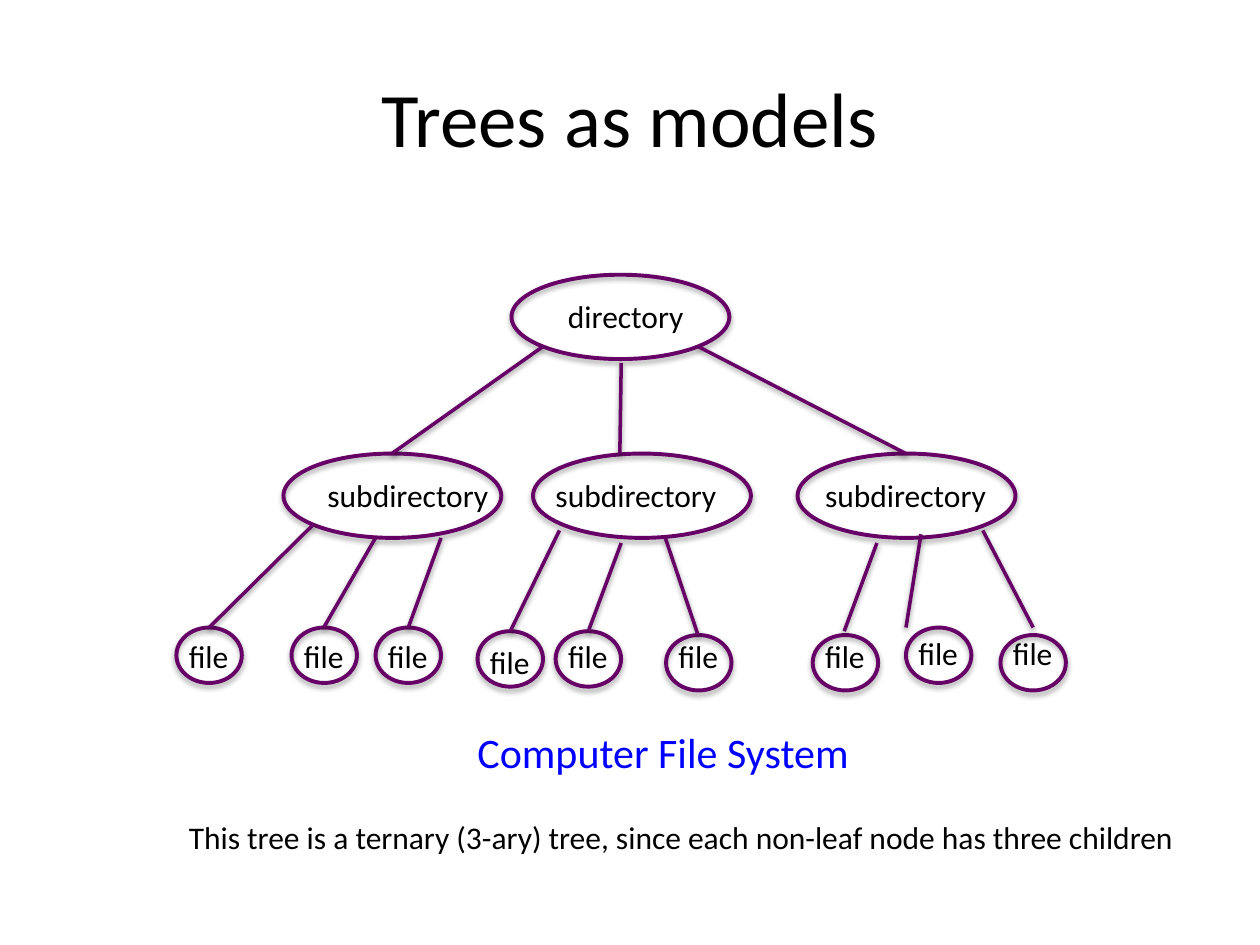
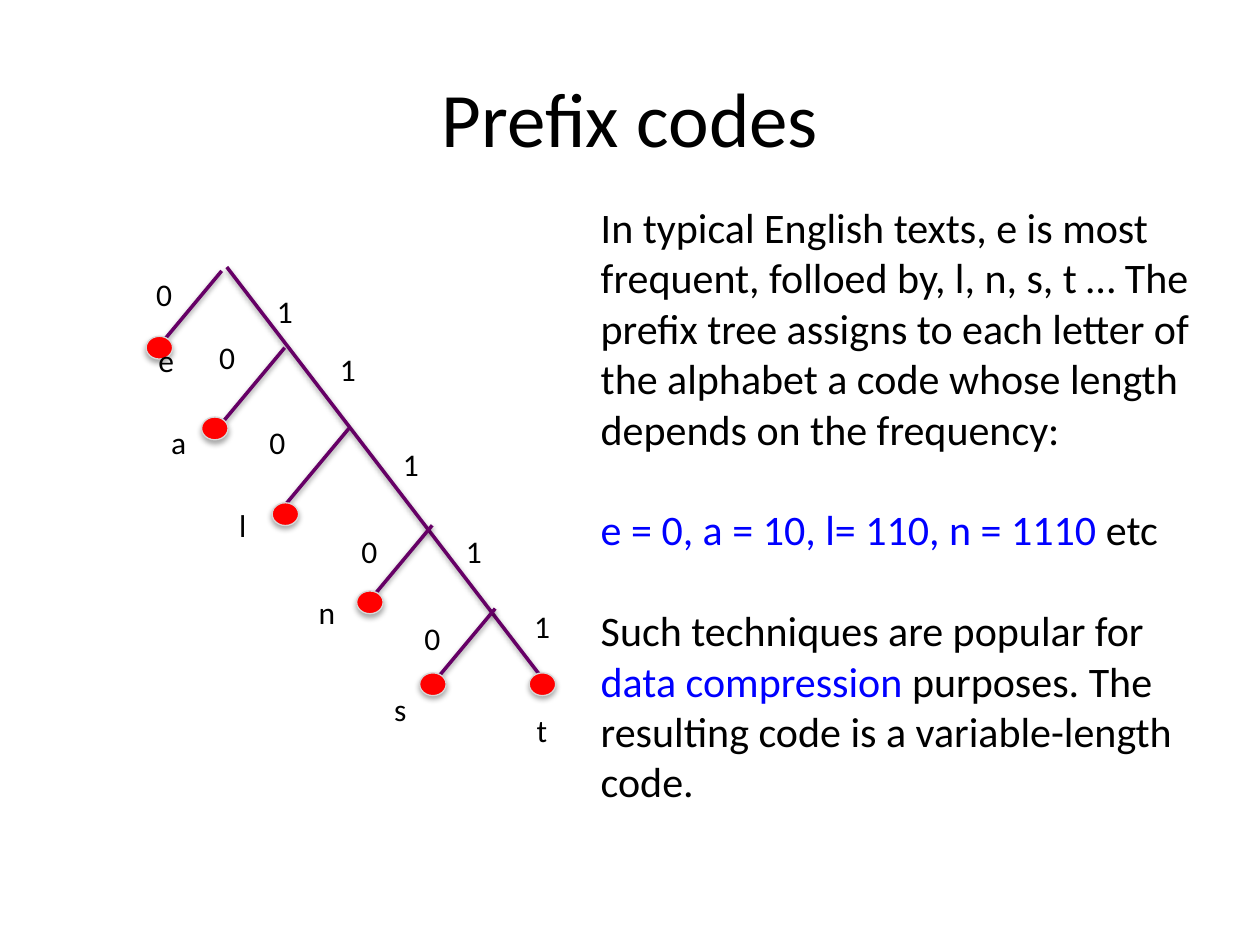
from pptx import Presentation
from pptx.dml.color import RGBColor
from pptx.enum.shapes import MSO_CONNECTOR as Link, MSO_SHAPE as Form
from pptx.enum.text import MSO_ANCHOR as Anchor, MSO_AUTO_SIZE as Fit, PP_ALIGN as Align
from pptx.util import Pt

BLACK = RGBColor(0, 0, 0)
BLUE = RGBColor(0, 0, 255)
RED = RGBColor(255, 0, 0)
PURPLE = RGBColor(0x66, 0, 0x66)
GRAY = RGBColor(0xD8, 0xD8, 0xD8)


def write(slide, text, x, y, wide, high=29, size=18, color=BLACK, wrap=False):
    frame = slide.shapes.add_textbox(Pt(x), Pt(y), Pt(wide), Pt(high)).text_frame
    frame.word_wrap = wrap
    frame.auto_size = Fit.SHAPE_TO_FIT_TEXT
    frame.text = text
    for line in frame.paragraphs:
        line.font.name = "Calibri"
        line.font.size = Pt(size)
        line.font.color.rgb = color
    return frame


def join(slide, x1, y1, x2, y2):
    edge = slide.shapes.add_connector(Link.STRAIGHT, Pt(x1), Pt(y1), Pt(x2), Pt(y2))
    edge.line.color.rgb = PURPLE
    edge.line.width = Pt(2)


deck = Presentation()
deck.slide_width, deck.slide_height = Pt(720), Pt(540)
slides = []
for title in ("Trees as models", "Prefix codes"):
    slide = deck.slides.add_slide(deck.slide_layouts[6])
    head = write(slide, title, 36, 21.6, 648, 90, 44, wrap=True)
    head.auto_size = Fit.NONE
    head.vertical_anchor = Anchor.MIDDLE
    head.paragraphs[0].alignment = Align.CENTER
    slides.append(slide)
model, prefix = slides

# label, label x, label y, label width, oval x, oval y, oval width, oval height
nodes = [("directory", 317.5, 166.3, 81.4, 292.3, 157, 124.5, 48.2)]
for text_x, oval_x in ((180, 162), (310.3, 304.6), (464.4, 455.8)):
    nodes.append(("subdirectory", text_x, 268.6, 107.3, oval_x, 259.2, 124.5, 48.2))
leaves = [
    (100.8, 360.7, 358.6), (166.6, 360.7, 358.6), (214.6, 360.7, 358.6),
    (272.9, 363.6, 360.7), (317.5, 360.7, 360.7), (380.6, 360.7, 362.9),
    (464.4, 360.7, 362.9), (517.7, 358.6, 358.6), (571.7, 358.6, 362.9),
]
for x, text_y, oval_y in leaves:
    nodes.append(("file", x, text_y, 37.4, x, oval_y, 37.4, 31.7))

for label, text_x, text_y, text_w, x, y, wide, high in nodes:
    write(model, label, text_x, text_y, text_w)
    oval = model.shapes.add_shape(Form.OVAL, Pt(x), Pt(y), Pt(wide), Pt(high))
    oval.fill.background()
    oval.line.color.rgb = PURPLE
    oval.line.width = Pt(2.25)

edges = [
    (310.3, 198, 223.9, 259.2), (355, 207.4, 354.2, 259.2), (398.9, 198, 517.7, 259.2),
    (179.3, 299.5, 119.5, 358.6), (214.6, 307.4, 185, 358.6), (252, 307.4, 233.3, 358.6),
    (319.7, 303.1, 291.6, 360.7), (355, 310.3, 336.2, 360.7), (380.2, 307.4, 398.9, 362.9),
    (501.1, 310.3, 482.4, 360.7), (526.3, 305.3, 517.7, 358.6), (561.6, 303.1, 590.4, 358.6),
]
for edge in edges:
    join(model, *edge)

write(model, "Computer File System", 265.7, 411.8, 229, 36, 24, BLUE)
write(model, "This tree is a ternary (3-ary) tree, since each non-leaf node has three children",
      100.8, 463.7, 583.2, wrap=True)

join(prefix, 129.6, 152.6, 312.5, 391)
for x, y in ((126.7, 154.8), (162.7, 198.7), (199.4, 244.8), (247, 300.2), (283, 347.8)):
    join(prefix, x, y, x - 36, y + 43.2)

ends = [
    ("e", 83.5, 191.5, 23.8, 83.5, 192.2), ("a", 90.7, 238.3, 23, 115.2, 238.3),
    ("l", 129.6, 285.8, 18.7, 155.5, 287.3), ("n", 175, 335.5, 23.8, 203.8, 337.7),
    ("s", 218.2, 391, 21.6, 239.8, 384.5), ("t", 299.5, 402.5, 20.9, 302.4, 384.5),
]
for label, text_x, text_y, text_w, x, y in ends:
    dot = prefix.shapes.add_shape(Form.OVAL, Pt(x), Pt(y), Pt(15.1), Pt(13))
    dot.fill.solid()
    dot.fill.fore_color.rgb = RED
    dot.line.color.rgb = GRAY
    dot.line.width = Pt(0.75)
    write(prefix, label, text_x, text_y, text_w)

bits = {
    "0": [(82.1, 153.4), (118.1, 189.4), (146.9, 238.3), (199.4, 300.2), (235.4, 349.9)],
    "1": [(151.2, 163.4), (187.2, 196.6), (223.2, 250.6), (259.2, 300.2), (298.1, 343.4)],
}
for bit, spots in bits.items():
    for x, y in spots:
        write(prefix, bit, x, y, 23.8)

parts = [
    (0, "", "In typical English texts, e is most frequent, folloed by, l, n, s, t … The prefix tree "
            "assigns to each letter of the alphabet a code whose length depends on the frequency:"),
    (28.8, "e = 0, a = 10, l= 110, n = 1110 ", "etc"),
    (28.8, "", "Such techniques are popular for"),
    (0, "data compression ", "purposes. The"),
    (0, "", "resulting code is a variable-length"),
    (0, "", "code."),
]
body = write(prefix, "\n".join(plain for gap, key, plain in parts),
             336.2, 111.6, 359.3, 356.4, 24, wrap=True)
for line, (gap, key, plain) in zip(body.paragraphs, parts):
    line.space_before = Pt(gap)
    if key:
        line.runs[0].text = key
        line.runs[0].font.color.rgb = BLUE
        line.add_run().text = plain

deck.save("out.pptx")
